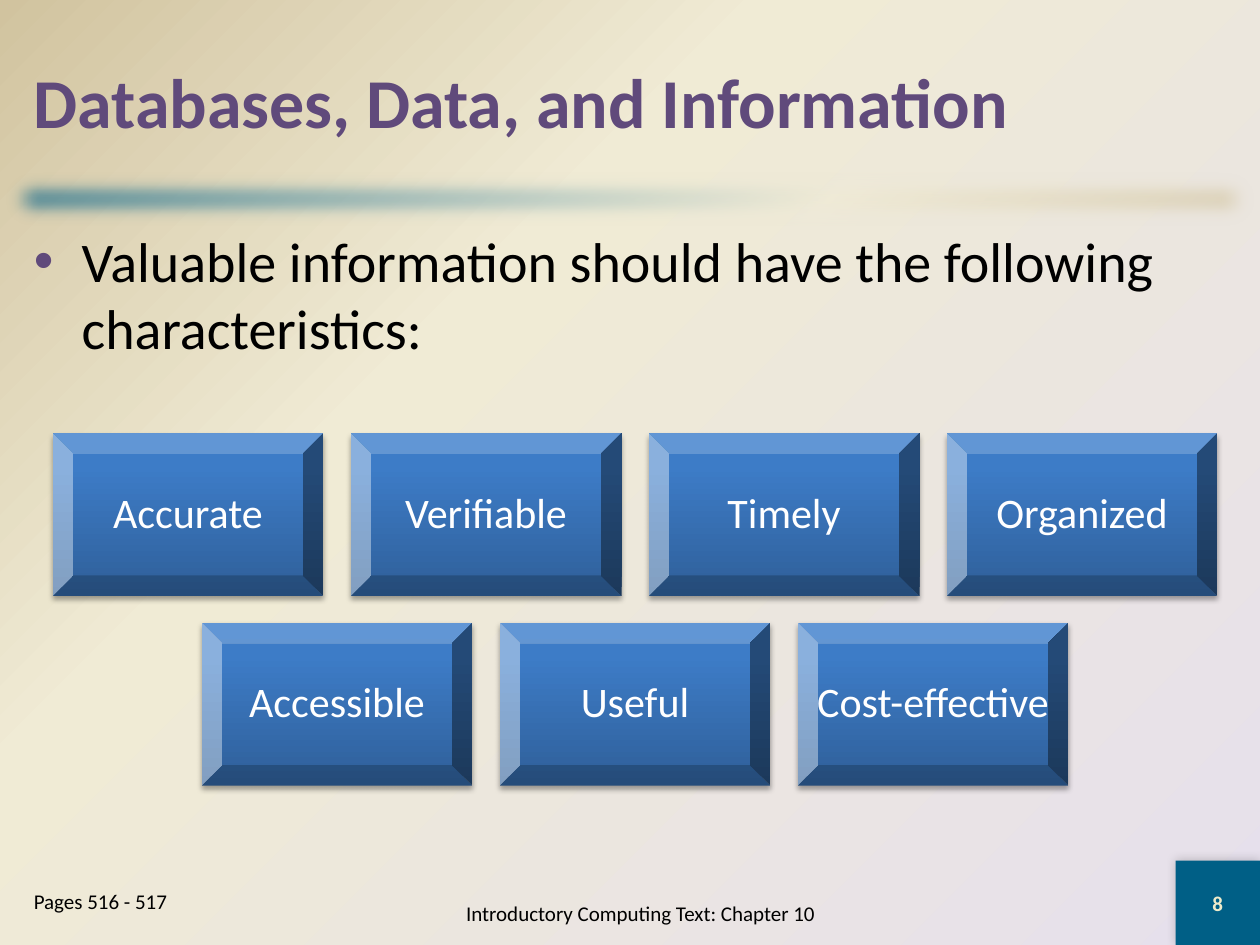
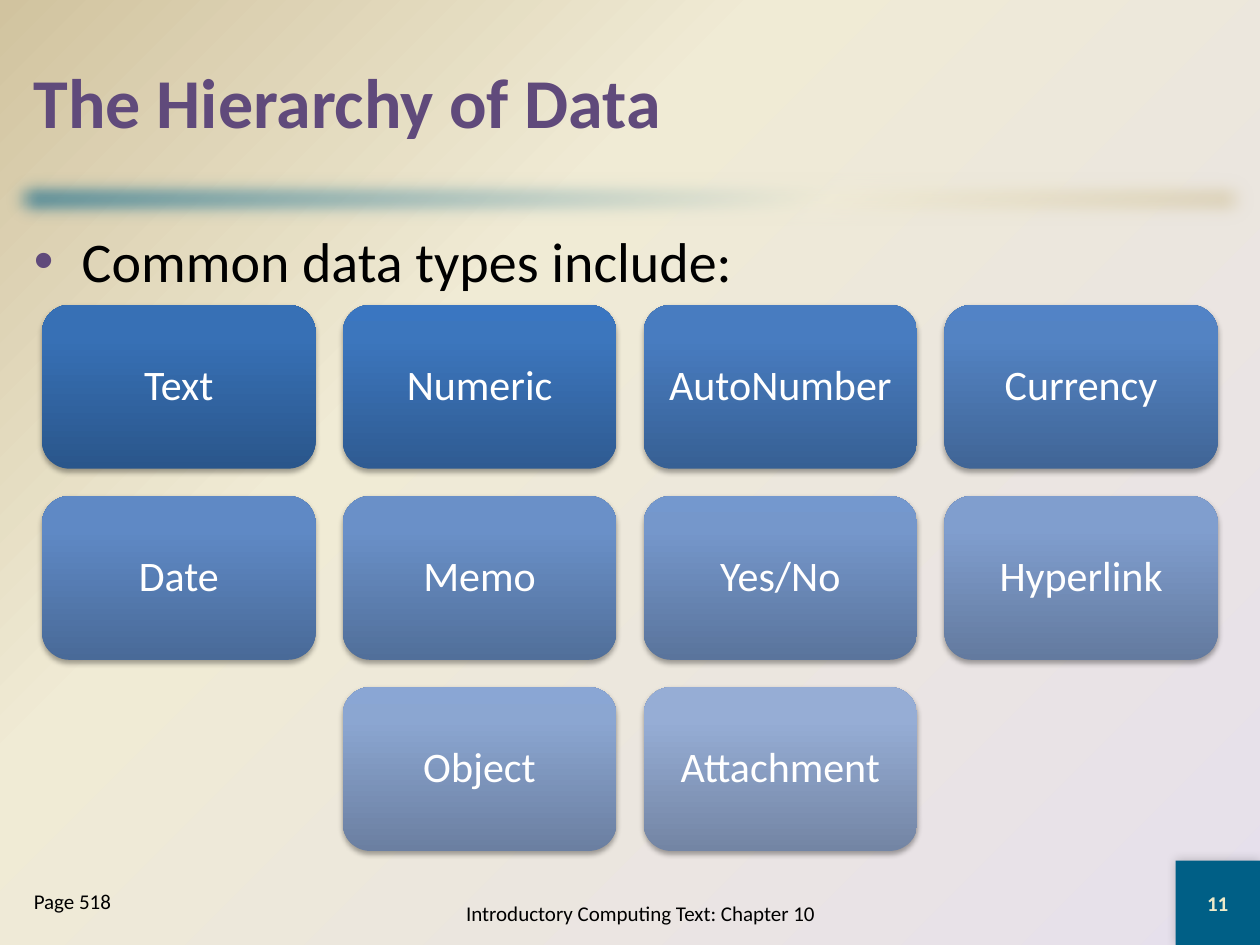
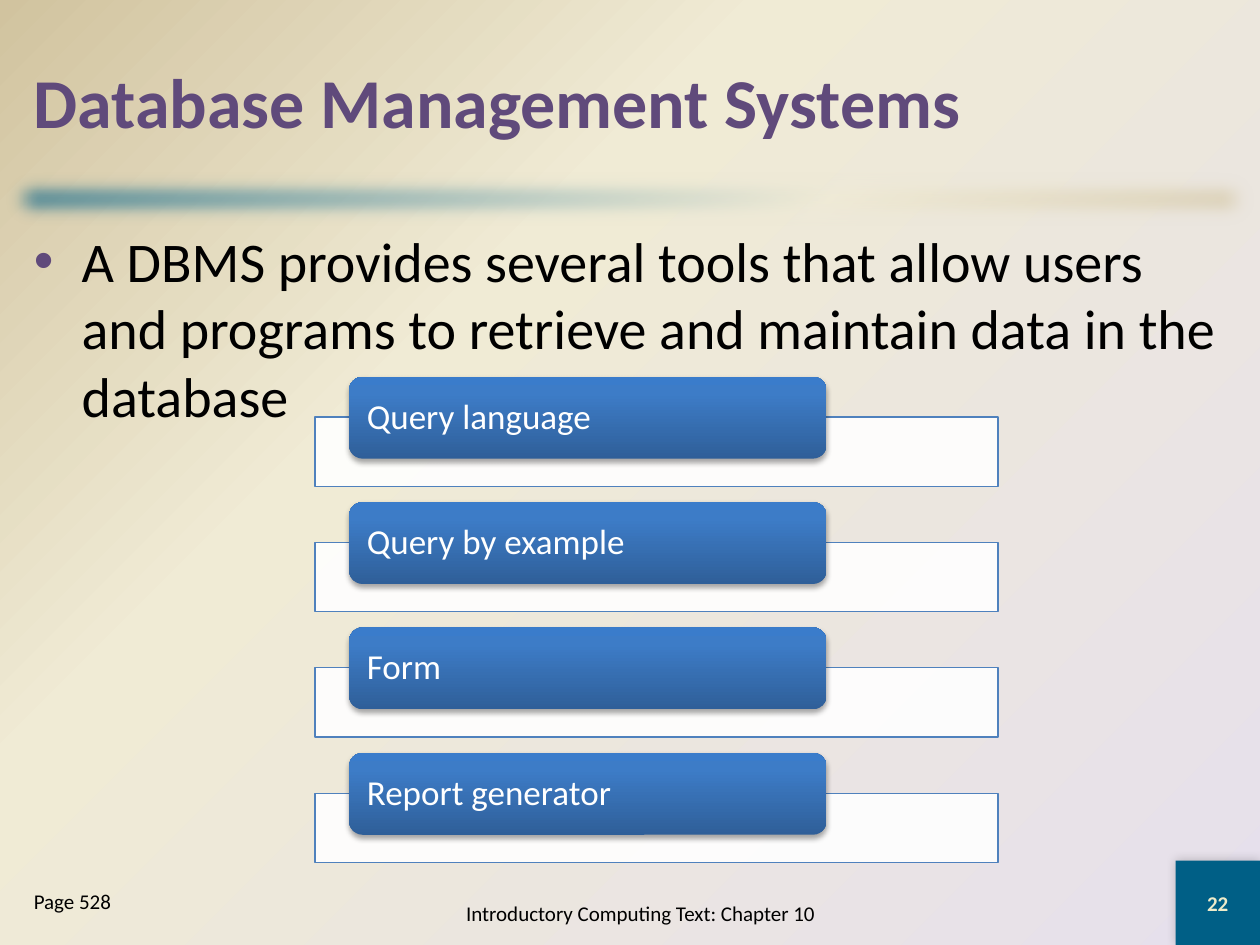
from pptx import Presentation
from pptx.dml.color import RGBColor
from pptx.enum.shapes import MSO_SHAPE as Shape
from pptx.enum.text import MSO_ANCHOR as Anchor, PP_ALIGN as Align
from pptx.oxml.ns import qn
from pptx.util import Inches, Pt
from lxml.etree import SubElement

PURPLE, TEAL, CREAM, SAND = "604A7B", "005F86", "F0EBD5", "D1C39F"
BLACK, WHITE, PALE, OUTLINE = "000000", "FFFFFF", "EEEBCA", "4F81BD"
BACKGROUND = ("E6E0EC", CREAM, SAND)
BAND = (TEAL, CREAM, SAND)
BLUE = ("2F5F99", "3D7CC7", "3A7CCB")

TITLE = dict(size=Pt(40), bold=True, color=PURPLE)
BODY = dict(size=Pt(32), color=BLACK)
FOOTER = dict(size=Pt(12), color=BLACK)
NUMBER = dict(size=Pt(12), bold=True, color=PALE)
TILE = dict(size=Pt(24), color=WHITE)
TOOL = dict(size=Pt(20), color=WHITE)

COURSE = "Introductory Computing Text: Chapter 10"
CORNER = (9.33, 6.83, 0.67, 0.67)
SOFT_SHADOW = dict(alpha=35, blur=3.1, distance=1.8, angle=90)
CORNER_SHADOW = dict(alpha=20, blur=6, distance=0, angle=225)

CHARACTERISTICS = [
    [("Accurate", BLUE), ("Verifiable", BLUE), ("Timely", BLUE), ("Organized", BLUE)],
    [("Accessible", BLUE), ("Useful", BLUE), ("Cost-effective", BLUE)],
]
DATA_TYPES = [
    [
        ("Text", ("2A568B", "3770B5", "3570B8")),
        ("Numeric", ("2F5B92", "3C76BD", "3A76C1")),
        ("AutoNumber", ("376094", "487CC0", "467CC3")),
        ("Currency", ("406596", "5383C3", "5283C6")),
    ],
    [
        ("Date", ("496A98", "5F89C5", "5D8AC8")),
        ("Memo", ("516F9A", "6A90C8", "6891CB")),
        ("Yes/No", ("5A749C", "7597CB", "7498CE")),
        ("Hyperlink", ("637A9F", "809ECE", "7F9FD1")),
    ],
    [
        ("Object", ("6B7FA1", "8BA6D1", "8AA6D4")),
        ("Attachment", ("7385A4", "96ADD5", "95ADD7")),
    ],
]
TOOLS = ["Query language", "Query by example", "Form", "Report generator"]


def rgb(value):
    return RGBColor.from_string(value)


def set_gradient(fill, element, colors, middle, angle=None):
    fill.gradient()
    gradient = element.find(".//" + qn("a:gradFill"))
    for child in list(gradient):
        gradient.remove(child)
    stops = SubElement(gradient, qn("a:gsLst"))
    for position, color in zip((0, middle, 100), colors):
        stop = SubElement(stops, qn("a:gs"), pos=str(position * 1000))
        SubElement(stop, qn("a:srgbClr"), val=color)
    if angle is None:
        circle = SubElement(gradient, qn("a:path"), path="circle")
        SubElement(circle, qn("a:fillToRect"), l="100000", t="100000")
    else:
        SubElement(gradient, qn("a:lin"), ang=str(angle * 60000), scaled="0")


def add_effect(shape, name, **values):
    effects = shape._element.spPr.find(qn("a:effectLst"))
    return SubElement(effects, qn(name), **{key: str(value) for key, value in values.items()})


def add_shadow(shape, alpha, blur, distance, angle):
    shadow = add_effect(shape, "a:outerShdw", blurRad=Pt(blur), dist=Pt(distance),
                        dir=angle * 60000, rotWithShape=0)
    color = SubElement(shadow, qn("a:srgbClr"), val=BLACK)
    SubElement(color, qn("a:alpha"), val=str(alpha * 1000))


def add_shape(slide, kind, box, fill, middle=80, angle=270):
    shape = slide.shapes.add_shape(kind, *map(Inches, box))
    shape.line.fill.background()
    shape.shadow.inherit = False
    if isinstance(fill, str):
        shape.fill.solid()
        shape.fill.fore_color.rgb = rgb(fill)
    else:
        set_gradient(shape.fill, shape._element.spPr, fill, middle, angle)
    return shape


def write(shape, text, style, align=Align.LEFT, anchor=Anchor.MIDDLE, wrap=True,
          margin=0.1, bullet=False, spacing=None):
    frame = shape.text_frame
    frame.word_wrap = wrap
    frame.vertical_anchor = anchor
    frame.margin_left = frame.margin_right = Inches(margin)
    paragraph = frame.paragraphs[0]
    paragraph.text = text
    paragraph.alignment = align
    if spacing:
        paragraph.line_spacing = spacing
    if bullet:
        properties = paragraph._p.get_or_add_pPr()
        properties.set("marL", str(Inches(0.38)))
        properties.set("indent", str(Inches(-0.38)))
        color = SubElement(properties, qn("a:buClr"))
        SubElement(color, qn("a:srgbClr"), val=PURPLE)
        SubElement(properties, qn("a:buFont"), typeface="Arial")
        SubElement(properties, qn("a:buChar"), char="•")
    font = paragraph.runs[0].font
    font.name = "Calibri"
    for name, value in style.items():
        if name == "color":
            font.color.rgb = rgb(value)
        else:
            setattr(font, name, value)


def add_text(slide, box, text, style, **options):
    write(slide.shapes.add_textbox(*map(Inches, box)), text, style, **options)


def add_base(presentation, title, body, pages, number):
    slide = presentation.slides.add_slide(presentation.slide_layouts[6])
    band = add_shape(slide, Shape.RECTANGLE, (0, 1.33, 10, 0.5), BAND, 65, 45)
    add_effect(band, "a:softEdge", rad=Pt(12.5))
    corner = add_shape(slide, Shape.RECTANGLE, CORNER, TEAL)
    add_shadow(corner, **CORNER_SHADOW)
    write(corner, number, NUMBER, align=Align.CENTER)
    add_text(slide, (0.17, 0.17, 9.67, 1.25), title, TITLE)
    add_text(slide, (0.17, 1.75, 9.67, 5.08), body, BODY, anchor=Anchor.TOP, bullet=True)
    add_text(slide, (3, 7, 4.17, 0.5), COURSE, FOOTER, align=Align.CENTER)
    add_text(slide, (0.17, 7, 1.83, 0.5), pages, FOOTER, anchor=Anchor.TOP)
    return slide


def add_tiles(slide, rows, kind, center, top, width, height):
    gap = width / 10
    for row_index, row in enumerate(rows):
        left = center - (len(row) * (width + gap) - gap) / 2
        for column, (text, colors) in enumerate(row):
            box = (left + column * (width + gap), top + row_index * (height + gap), width, height)
            tile = add_shape(slide, kind, box, colors)
            add_shadow(tile, **SOFT_SHADOW)
            write(tile, text, TILE, align=Align.CENTER, wrap=False, spacing=0.9)


def add_tools(slide, tools, top=2.99, pitch=0.995):
    for index, text in enumerate(tools):
        y = top + index * pitch
        bar = add_shape(slide, Shape.RECTANGLE, (2.5, y + 0.32, 5.42, 0.55), WHITE)
        color = bar._element.spPr.find(qn("a:solidFill"))[0]
        SubElement(color, qn("a:alpha"), val="90000")
        bar.line.color.rgb = rgb(OUTLINE)
        bar.line.width = Pt(0.75)
        label = add_shape(slide, Shape.ROUNDED_RECTANGLE, (2.77, y, 3.79, 0.65), BLUE)
        add_shadow(label, **SOFT_SHADOW)
        write(label, text, TOOL, margin=0.11, spacing=0.9)


def main():
    presentation = Presentation()
    presentation.slide_width, presentation.slide_height = Inches(10), Inches(7.5)
    master = presentation.slide_master
    set_gradient(master.background.fill, master._element, BACKGROUND, 65)

    slide = add_base(presentation, "Databases, Data, and Information",
                     "Valuable information should have the following characteristics:",
                     "Pages 516 - 517", "8")
    add_tiles(slide, CHARACTERISTICS, Shape.BEVEL, 5.04, 3.44, 2.15, 1.29)

    slide = add_base(presentation, "The Hierarchy of Data",
                     "Common data types include:", "Page 518", "11")
    add_tiles(slide, DATA_TYPES, Shape.ROUNDED_RECTANGLE, 5, 2.42, 2.17, 1.3)

    slide = add_base(presentation, "Database Management Systems",
                     "A DBMS provides several tools that allow users and programs "
                     "to retrieve and maintain data in the database",
                     "Page 528", "22")
    add_tools(slide, TOOLS)

    presentation.save("out.pptx")


if __name__ == "__main__":
    main()
